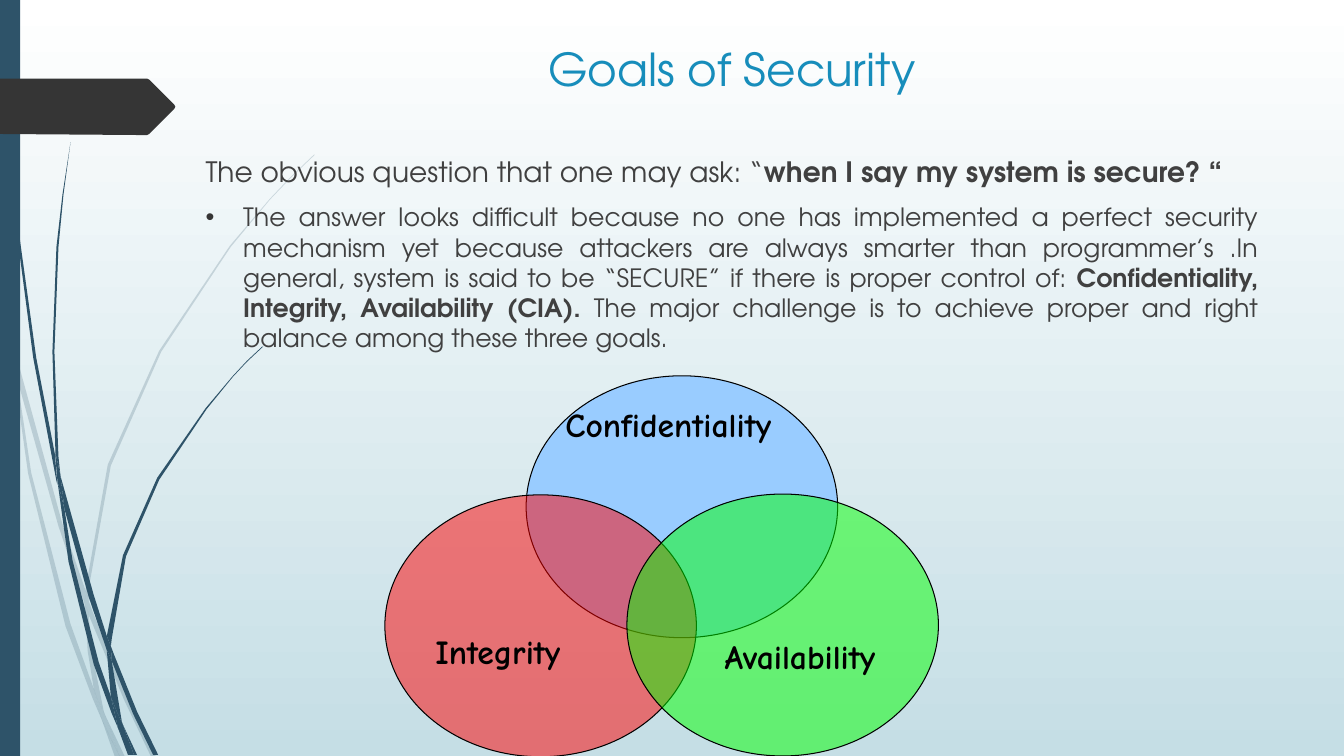
import lxml.etree
import pptx
import pptx.dml.color
import pptx.enum.shapes
import pptx.enum.text
import pptx.oxml.ns
import pptx.util

Cm = pptx.util.Cm
Pt = pptx.util.Pt
rgb = pptx.dml.color.RGBColor.from_string
qn = pptx.oxml.ns.qn
kind = pptx.enum.shapes.MSO_SHAPE
align = pptx.enum.text.PP_ALIGN
NAVY, DARK, BLACK = "2E5369", "353535", "000000"
UNIT = Cm(2.54) / 100

deck = pptx.Presentation()
deck.slide_width, deck.slide_height = Cm(33.87), Cm(19.05)
slide = deck.slides.add_slide(deck.slide_layouts[6])
shapes = slide.shapes


def paint(shape, color, alpha=100):
    shape.shadow.inherit = False
    shape.fill.solid()
    shape.fill.fore_color.rgb = rgb(color)
    shape.line.fill.background()
    if alpha < 100:
        tone = shape.element.spPr.find(qn("a:solidFill"))[0]
        lxml.etree.SubElement(tone, qn("a:alpha"), val=str(alpha * 1000))


def trace(outline, color, alpha=100):
    nums = [int(n) * UNIT for n in outline.split()]
    dots = list(zip(nums[::2], nums[1::2]))
    pen = shapes.build_freeform(*dots[0], scale=1.0)
    pen.add_line_segments(dots[1:], close=True)
    paint(pen.convert_to_shape(), color, alpha)


# Background
back = slide.background.fill
back.gradient()
back.gradient_angle = 270
for stop, color in zip(back.gradient_stops, ("FFFFFF", "C5DEE5")):
    stop.color.rgb = rgb(color)

# Grass blades: outline points in hundredths of an inch
pale = [
    "11 350 9 322 0 282 0 299 10 344",
    "58 522 84 599 85 586 62 520 14 345 17 376",
    "92 607 88 596 88 610 123 694 150 751 155 751 127 692",
    "119 751 124 751 105 711",
    "93 683 70 619 31 469 17 376 11 350 28 470 65 621 92 693 101 714 99 707",
    "84 599 87 646 93 683 96 692 105 711 103 706 91 646 88 610 88 608",
    "88 584 110 462 160 349 229 245 268 198 290 175 312 154 312 153 289 175 268 197 "
    "228 244 158 348 107 461 85 584 85 586 88 596",
    "101 714 114 751 119 751",
    "88 608 88 610 88 596 85 586 84 599",
    "96 692 93 683 99 707 101 714 119 751 105 711",
]
deep = [
    "7 110 17 233 33 355 56 477 57 481 55 457 55 453 36 355 19 232 8 109 5 48 4 0 3 0 4 48",
    "88 592 106 645 106 633 106 631 93 590 60 472 64 505",
    "113 649 110 641 111 656 132 708 152 749 157 749 136 706",
    "110 691 98 657 72 556 64 505 57 477 68 557 93 659 111 708 117 722 116 717",
    "60 472 58 453 54 349 58 245 63 193 70 141 62 193 56 245 52 349 55 449",
    "133 749 136 749 122 719",
    "57 477 64 505 60 472 55 449 55 453",
    "111 633 125 552 158 476 205 406 231 374 245 359 261 344 260 344 245 358 231 373 "
    "204 405 156 474 122 551 106 631 110 641",
    "117 722 127 749 131 749",
    "106 645 110 691 116 706 122 719 121 716 111 656 109 651",
    "106 645 109 651 111 656 110 641 106 631 106 633",
    "116 706 110 691 116 717 117 722 130 749 133 749 122 719",
]
for blades, alpha in ((pale, 20), (deep, 100)):
    for blade in blades:
        trace(blade, NAVY, alpha)

# Side bar and arrow tag
bar = shapes.add_shape(kind.RECTANGLE, 0, 0, Cm(0.51), Cm(19.05))
paint(bar, NAVY)
trace("0 78 146 78 148 79 173 104 174 106 173 108 148 133 146 134 136 134 0 133", DARK)

# Venn circles
for left, top, color, alpha in ((13.26, 9.47, "99CCFF", 100),
                                (9.7, 12.47, "FF0000", 50),
                                (15.8, 12.45, "00FF00", 50)):
    disc = shapes.add_shape(kind.OVAL, Cm(left), Cm(top), Cm(7.85), Cm(6.6))
    paint(disc, color, alpha)
    disc.line.color.rgb = rgb(BLACK)
    disc.line.width = Pt(0.75)

# Text: box, font, colour, then paragraphs of alignment, size and (text, bold) runs
sans, hand = "TeX Gyre Adventor", "Comic Neue"
texts = [
    ((4.93, 0.91, 27.03, 3.1), sans, "178DBB", [
        (align.CENTER, 32.4, [("Goals of Security", False)])]),
    ((4.93, 3.76, 27.03, 13.64), sans, "404040", [
        (align.LEFT, 20, [("The obvious question that one may ask: “", False),
                          ("when I say my system is secure? “", True)]),
        (align.JUSTIFY, 18, [
            ("The answer looks difficult because no one has implemented a perfect security "
             "mechanism yet because attackers are always smarter than programmer’s .In general, "
             "system is said to be “SECURE” if there is proper control of: ", False),
            ("Confidentiality, Integrity, Availability (CIA). ", True),
            ("The major challenge is to achieve proper and right balance among these three goals.",
             False)])]),
]
for label, left, top, width in (("Integrity", 10.72, 15.77, 4.75),
                                ("Confidentiality", 14, 10.06, 7.11),
                                ("Availability", 18.01, 15.9, 6.4)):
    texts.append(((left, top, width, 1.27), hand, BLACK, [(align.LEFT, 24, [(label, True)])]))

for place, font, color, paras in texts:
    frame = shapes.add_textbox(*map(Cm, place)).text_frame
    frame.word_wrap = True
    if font == hand:
        frame.auto_size = pptx.enum.text.MSO_AUTO_SIZE.SHAPE_TO_FIT_TEXT
    for i, (side, size, runs) in enumerate(paras):
        para = frame.add_paragraph() if i else frame.paragraphs[0]
        para.alignment = side
        if len(paras) > 1:
            para.space_before = Pt(10)
        for words, bold in runs:
            run = para.add_run()
            run.text = words
            run.font.name, run.font.size, run.font.bold = font, Pt(size), bold
            run.font.color.rgb = rgb(color)
        # Bullet with hanging indent
        if side == align.JUSTIFY:
            props = para._p.get_or_add_pPr()
            props.set("marL", str(Cm(0.95)))
            props.set("indent", str(-Cm(0.95)))
            tint = lxml.etree.SubElement(props, qn("a:buClr"))
            lxml.etree.SubElement(tint, qn("a:srgbClr"), val=DARK)
            lxml.etree.SubElement(props, qn("a:buFont"), typeface="Arial")
            lxml.etree.SubElement(props, qn("a:buChar"), char="•")

deck.save("out.pptx")
